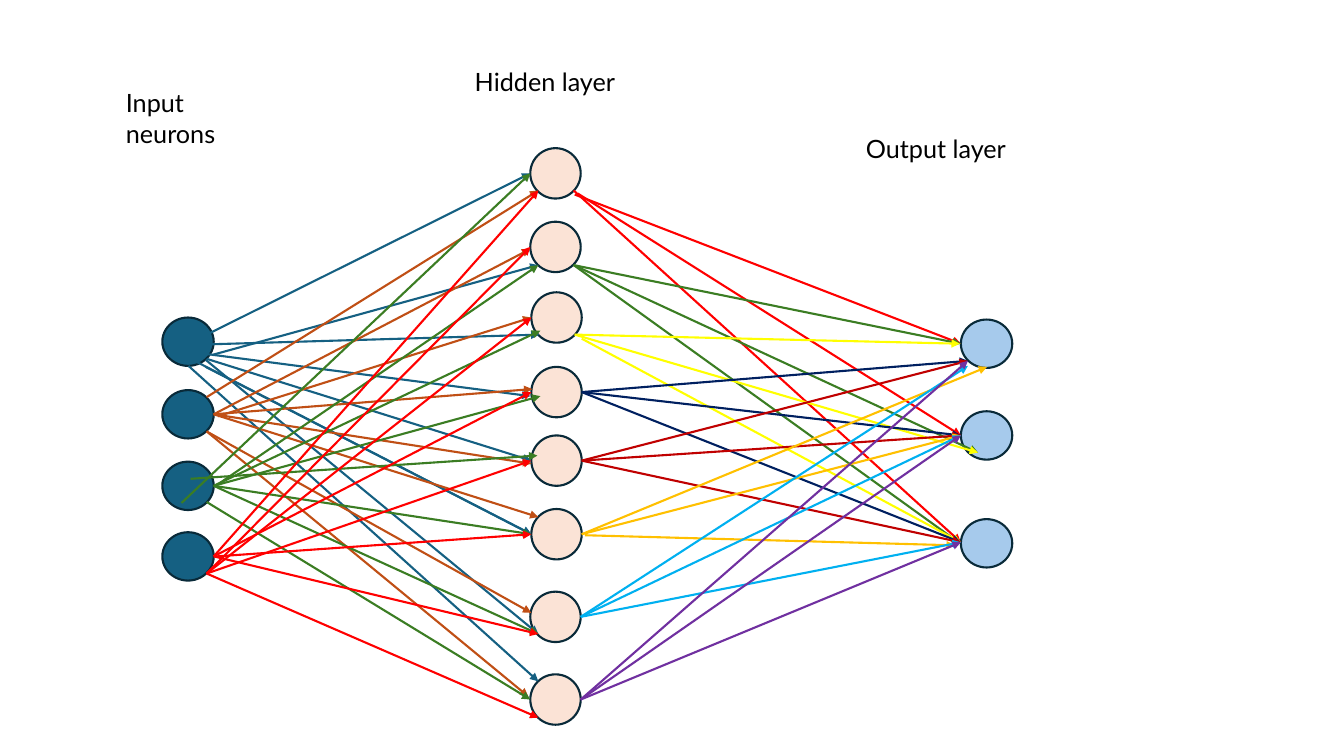
from typing import NamedTuple

from pptx import Presentation
from pptx.dml.color import RGBColor
from pptx.enum.shapes import MSO_CONNECTOR, MSO_SHAPE
from pptx.enum.text import MSO_AUTO_SIZE
from pptx.oxml.ns import qn
from pptx.slide import Slide
from pptx.util import Inches, Pt
from lxml.etree import SubElement

BLACK = RGBColor(0x00, 0x00, 0x00)
OUTLINE = RGBColor(0x09, 0x2A, 0x39)
TEAL = RGBColor(0x15, 0x60, 0x82)
PEACH = RGBColor(0xFB, 0xE3, 0xD6)
PALE_BLUE = RGBColor(0xA6, 0xCA, 0xEC)
BROWN = RGBColor(0xC0, 0x4F, 0x15)
GREEN = RGBColor(0x3B, 0x7D, 0x23)
RED = RGBColor(0xFF, 0x00, 0x00)
YELLOW = RGBColor(0xFF, 0xFF, 0x00)
NAVY = RGBColor(0x00, 0x20, 0x60)
DARK_RED = RGBColor(0xC0, 0x00, 0x00)
GOLD = RGBColor(0xFF, 0xC0, 0x00)
SKY = RGBColor(0x00, 0xB0, 0xF0)
PURPLE = RGBColor(0x70, 0x30, 0xA0)

LINE_WIDTH = Pt(1.5)
LABEL_FORMAT = {"name": "Lato", "size": Pt(18)}

Point = tuple[float, float]


class Label(NamedTuple):
    text: str
    left: float
    top: float
    width: float
    height: float


class Layer(NamedTuple):
    fill: RGBColor
    width: float
    height: float
    corners: list[Point]


class Link(NamedTuple):
    end: Point
    start: Point | None = None


class Fan(NamedTuple):
    """Links leaving one neuron, from a shared start unless a link has its own."""
    color: RGBColor
    start: Point
    links: list[Link]


LABELS = [
    Label("Input neurons", 1.15, 0.82, 1.28, 0.71),
    Label("Hidden layer", 4.61, 0.61, 2.05, 0.4),
    Label("Output layer", 8.49, 1.27, 2.11, 0.4),
]

LAYERS = [
    Layer(TEAL, 0.51, 0.48, [(1.61, top) for top in (3.15, 3.87, 4.58, 5.28)]),
    Layer(PEACH, 0.5, 0.5, [(5.26, 1.47), (5.26, 2.2), (5.27, 2.9), (5.27, 3.64),
                            (5.27, 4.32), (5.27, 5.05), (5.26, 5.87), (5.26, 6.69)]),
    Layer(PALE_BLUE, 0.51, 0.48, [(9.53, top) for top in (3.17, 4.08, 5.15)]),
]

# Arrival points shared by several links
HIDDEN_1, HIDDEN_1_LOW = (5.26, 1.72), (5.34, 1.89)
HIDDEN_2_LOW = (5.34, 2.63)
HIDDEN_3 = (5.27, 3.15)
HIDDEN_5 = (5.27, 4.57)
HIDDEN_6 = (5.27, 5.3)
HIDDEN_7_LOW = (5.34, 6.29)
OUTPUT_1, OUTPUT_1_LOW = (9.53, 3.41), (9.6, 3.58)
OUTPUT_2, OUTPUT_2_LOW = (9.53, 4.32), (9.7, 4.49)
OUTPUT_3 = (9.53, 5.38)

INPUT_4_LOW = (2.05, 5.69)

FANS = [
    Fan(TEAL, (2.04, 3.57), [
        Link(HIDDEN_1, (1.87, 3.41)), Link(HIDDEN_2_LOW, (2.11, 3.52)),
        Link((5.35, 3.32), (1.95, 3.42)), Link((5.26, 3.93), (2.03, 3.51)),
        Link(HIDDEN_5, (2.05, 3.56)), Link(HIDDEN_6, (1.93, 3.58)),
        Link(HIDDEN_6, (2.04, 3.64)), Link((5.34, 6.76), (1.87, 3.63)),
        Link(HIDDEN_7_LOW)]),
    Fan(BROWN, (2.12, 4.11), [
        Link(HIDDEN_1_LOW, (2.05, 3.94)), Link((5.26, 2.47)),
        Link(HIDDEN_3, (2.16, 4.13)), Link((5.28, 3.86)), Link((5.27, 4.6)),
        Link((5.34, 5.13)), Link((5.27, 6.08), (2.05, 4.28)),
        Link((5.24, 6.91), (2.05, 4.28))]),
    Fan(GREEN, (2.12, 4.82), [
        Link(HIDDEN_1, (1.8, 4.99)), Link(HIDDEN_2_LOW, (2.14, 4.82)),
        Link((5.36, 3.28)), Link((5.36, 3.93)), Link((5.33, 4.52), (1.89, 4.75)),
        Link(HIDDEN_6), Link(HIDDEN_7_LOW), Link((5.26, 6.94), (2.05, 4.98))]),
    Fan(RED, (2.12, 5.52), [
        Link(HIDDEN_1_LOW), Link((5.26, 2.45), INPUT_4_LOW), Link(HIDDEN_7_LOW),
        Link(HIDDEN_6, (2.15, 5.52)), Link(HIDDEN_5, INPUT_4_LOW),
        Link((5.27, 3.89)), Link(HIDDEN_3, INPUT_4_LOW),
        Link((5.34, 7.12), INPUT_4_LOW)]),
    Fan(RED, (5.69, 1.89), [
        Link(OUTPUT_1, (5.7, 1.93)), Link(OUTPUT_2, (5.73, 1.92)), Link(OUTPUT_3)]),
    Fan(GREEN, (5.69, 2.63), [
        Link(OUTPUT_2_LOW), Link(OUTPUT_1), Link((9.52, 5.39))]),
    Fan(YELLOW, (5.7, 3.32), [
        Link((9.52, 3.41)), Link(OUTPUT_2_LOW), Link(OUTPUT_3, (5.77, 3.36))]),
    Fan(NAVY, (5.77, 3.89), [Link(OUTPUT_1_LOW), Link(OUTPUT_2), Link(OUTPUT_3)]),
    Fan(DARK_RED, (5.77, 4.57), [Link(OUTPUT_2), Link(OUTPUT_1_LOW), Link(OUTPUT_3)]),
    Fan(GOLD, (5.77, 5.3), [
        Link((9.79, 3.64)), Link(OUTPUT_2), Link((9.47, 5.41), (5.8, 5.31))]),
    Fan(SKY, (5.76, 6.12), [Link((9.6, 3.63)), Link(OUTPUT_2), Link(OUTPUT_3)]),
    Fan(PURPLE, (5.76, 6.94), [Link(OUTPUT_1_LOW), Link(OUTPUT_2), Link(OUTPUT_3)]),
]


def draw_layer(slide: Slide, layer: Layer) -> None:
    for left, top in layer.corners:
        neuron = slide.shapes.add_shape(
            MSO_SHAPE.FLOWCHART_CONNECTOR, Inches(left), Inches(top),
            Inches(layer.width), Inches(layer.height))
        neuron.shadow.inherit = False
        neuron.fill.solid()
        neuron.fill.fore_color.rgb = layer.fill
        neuron.line.color.rgb = OUTLINE
        neuron.line.width = LINE_WIDTH


def draw_fan(slide: Slide, fan: Fan) -> None:
    for link in fan.links:
        points = (*(link.start or fan.start), *link.end)
        arrow = slide.shapes.add_connector(
            MSO_CONNECTOR.STRAIGHT, *(Inches(value) for value in points))
        arrow.line.color.rgb = fan.color
        arrow.line.width = LINE_WIDTH
        SubElement(arrow.line._get_or_add_ln(), qn("a:tailEnd"), type="triangle")
        SubElement(arrow._element.spPr, qn("a:effectLst"))


def draw_label(slide: Slide, label: Label) -> None:
    box = slide.shapes.add_textbox(
        Inches(label.left), Inches(label.top), Inches(label.width), Inches(label.height))
    frame = box.text_frame
    frame.word_wrap = True
    frame.auto_size = MSO_AUTO_SIZE.SHAPE_TO_FIT_TEXT
    run = frame.paragraphs[0].add_run()
    run.text = label.text
    for attribute, value in LABEL_FORMAT.items():
        setattr(run.font, attribute, value)
    run.font.color.rgb = BLACK


def main() -> None:
    presentation = Presentation()
    presentation.slide_width = Inches(13.33)
    presentation.slide_height = Inches(7.5)
    slide = presentation.slides.add_slide(presentation.slide_layouts[6])
    for layer in LAYERS:
        draw_layer(slide, layer)
    for fan in FANS:
        draw_fan(slide, fan)
    for label in LABELS:
        draw_label(slide, label)
    presentation.save("out.pptx")


if __name__ == "__main__":
    main()
